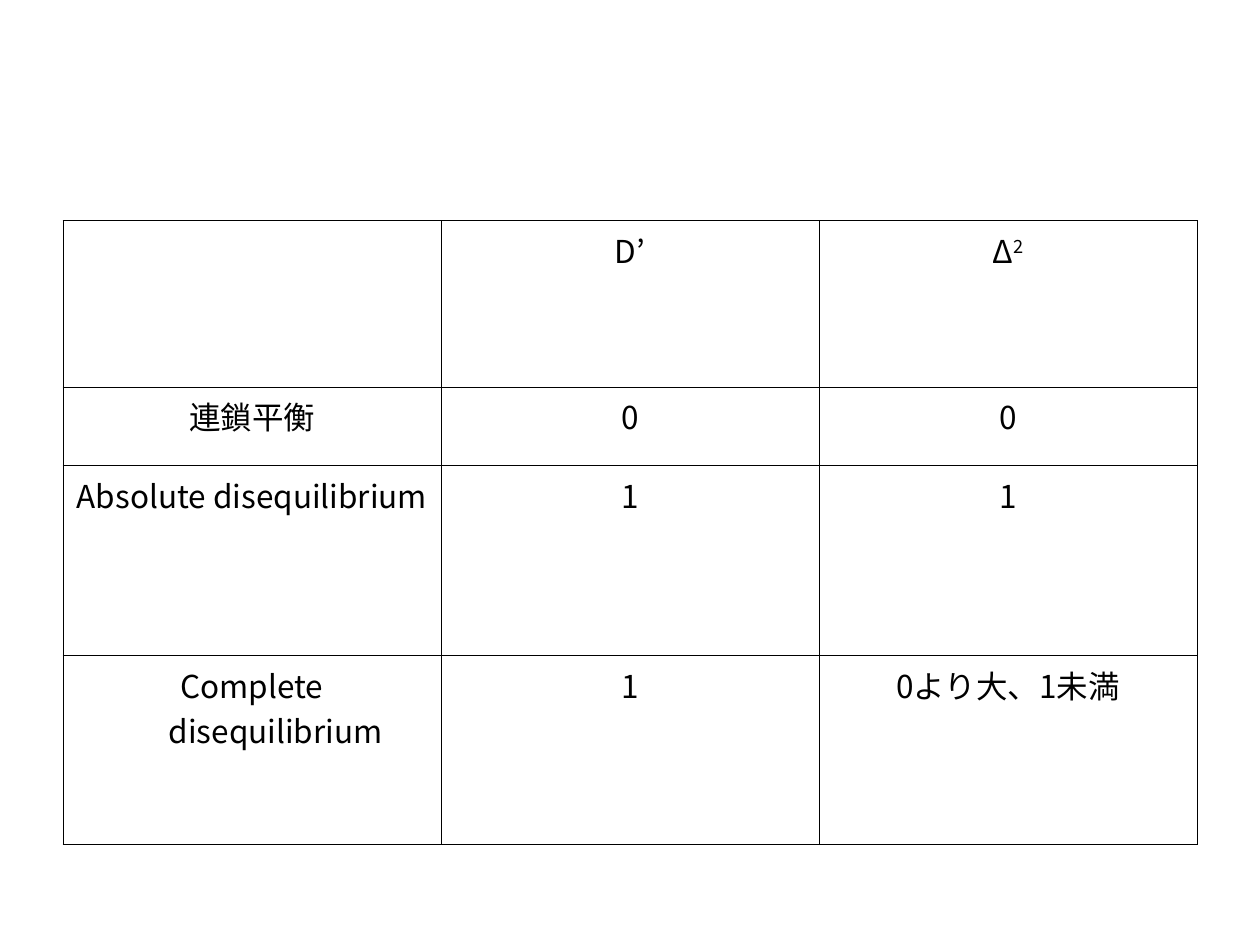
"""Build a slide with a table comparing measures of linkage disequilibrium."""
from lxml import etree
from pptx import Presentation
from pptx.dml.color import RGBColor
from pptx.enum.text import PP_ALIGN
from pptx.oxml.ns import qn
from pptx.util import Pt

CENTER = PP_ALIGN.CENTER
BLACK = RGBColor(0, 0, 0)
FONT = "Noto Sans CJK JP"
BORDER_SIDES = ("a:lnL", "a:lnR", "a:lnT", "a:lnB")


class SlideBuilder:
    def __init__(self, slide, font=FONT, size=18, color=BLACK, border=0.45, indent=27):
        self.slide = slide
        self.font = font
        self.size = size
        self.color = color
        self.border = border
        self.indent = indent

    def table(self, left, top, column_widths, row_heights, rows):
        frame = self.slide.shapes.add_table(
            len(rows), len(column_widths), Pt(left), Pt(top),
            Pt(sum(column_widths)), Pt(sum(row_heights)))
        table = frame.table
        table.first_row = table.horz_banding = False
        for column, width in zip(table.columns, column_widths):
            column.width = Pt(width)
        for row, height, texts in zip(table.rows, row_heights, rows):
            row.height = Pt(height)
            for cell, runs in zip(row.cells, texts):
                self.cell(cell, *runs)

    def cell(self, cell, text="", superscript=""):
        cell.margin_left = cell.margin_right = Pt(7.2)
        cell.margin_top = cell.margin_bottom = Pt(3.6)
        self.borders(cell)
        cell.fill.background()
        if text:
            self.text(cell.text_frame.paragraphs[0], text, superscript)

    def borders(self, cell):
        properties = cell._tc.get_or_add_tcPr()
        for side in BORDER_SIDES:
            line = etree.SubElement(properties, qn(side), w=str(Pt(self.border)))
            fill = etree.SubElement(line, qn("a:solidFill"))
            etree.SubElement(fill, qn("a:srgbClr"), val=str(self.color))

    def text(self, paragraph, text, superscript):
        paragraph.alignment = CENTER
        properties = paragraph._p.get_or_add_pPr()
        properties.set("marL", str(Pt(self.indent)))
        properties.set("indent", str(-Pt(self.indent)))
        paragraph.font.size = Pt(self.size)
        paragraph.font.color.rgb = self.color
        paragraph.font.name = self.font
        etree.SubElement(properties.find(qn("a:defRPr")), qn("a:ea"), typeface=self.font)
        paragraph.add_run().text = text
        if superscript:
            raised = paragraph.add_run()
            raised.text = superscript
            raised._r.get_or_add_rPr().set("baseline", "30000")


def main():
    presentation = Presentation()
    presentation.slide_width, presentation.slide_height = Pt(720), Pt(540)
    slide = presentation.slides.add_slide(presentation.slide_layouts[6])
    measures = [
        [(), ("D’",), ("Δ", "2")],
        [("連鎖平衡",), ("0",), ("0",)],
        [("Absolute disequilibrium",), ("1",), ("1",)],
        [("Complete disequilibrium",), ("1",), ("0より大、1未満",)],
    ]
    SlideBuilder(slide).table(36, 126, [216] * 3, [95.2, 45, 108.2, 108.2], measures)
    presentation.save("out.pptx")


if __name__ == "__main__":
    main()
